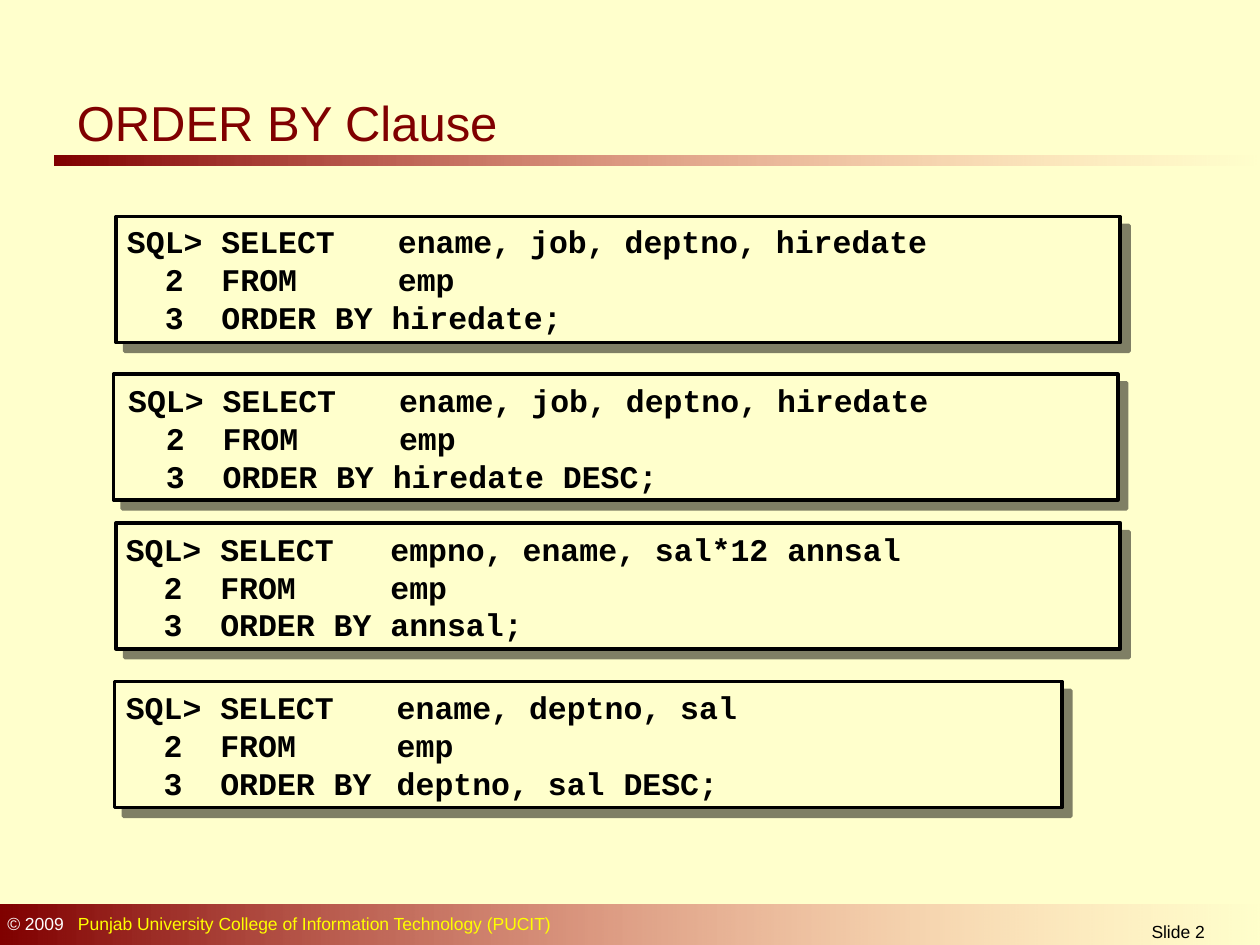
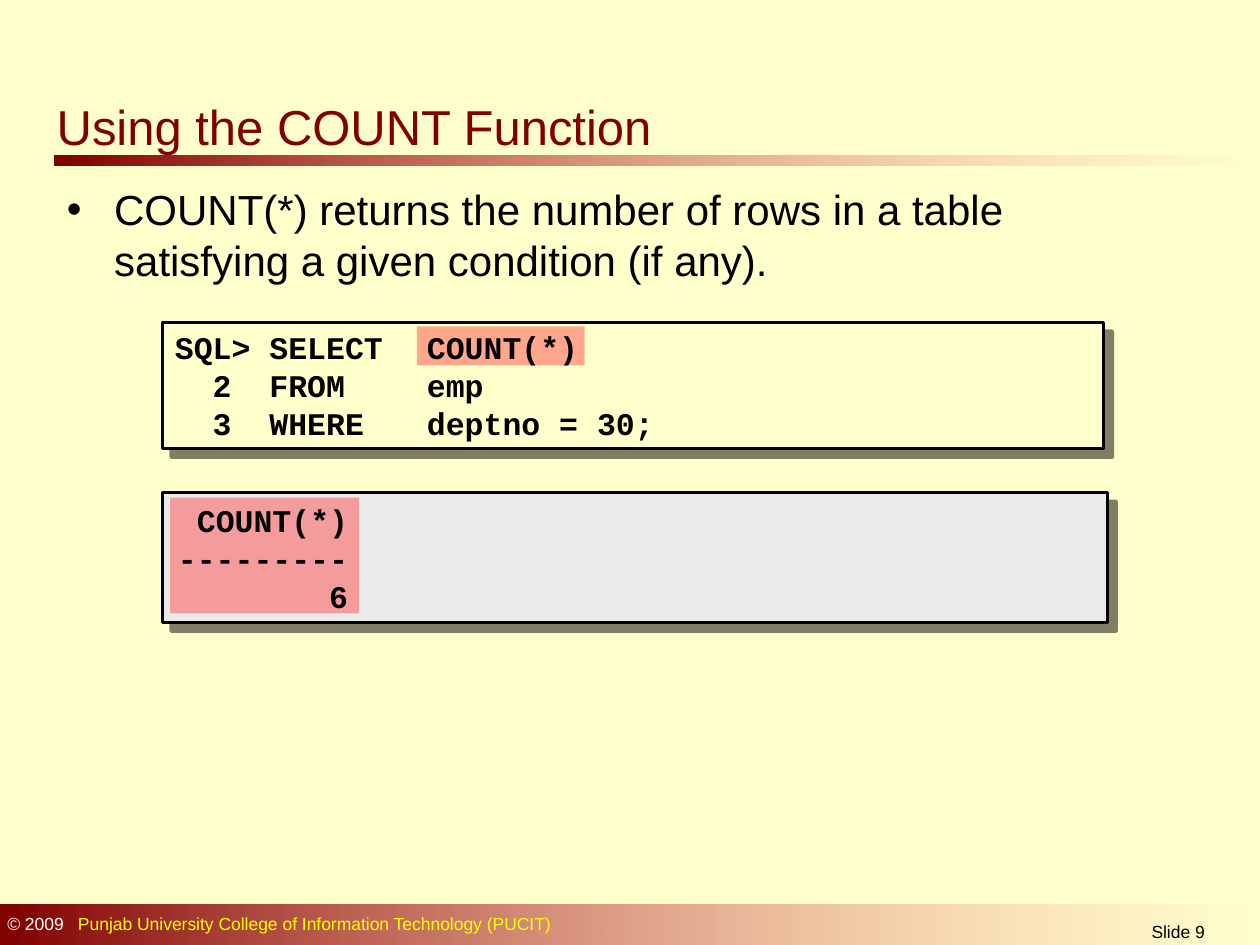
from typing import NamedTuple

from lxml import etree
from pptx import Presentation
from pptx.dml.color import RGBColor
from pptx.enum.shapes import MSO_SHAPE
from pptx.enum.text import MSO_ANCHOR, MSO_AUTO_SIZE, PP_ALIGN
from pptx.oxml.ns import qn
from pptx.util import Pt

RECTANGLE = MSO_SHAPE.RECTANGLE
TOP, MIDDLE = MSO_ANCHOR.TOP, MSO_ANCHOR.MIDDLE
LEFT, CENTER, RIGHT = PP_ALIGN.LEFT, PP_ALIGN.CENTER, PP_ALIGN.RIGHT
NO_AUTOFIT = MSO_AUTO_SIZE.NONE

CREAM = RGBColor(0xFF, 0xFF, 0xCC)
MAROON = RGBColor(0x80, 0x00, 0x00)
PINK = RGBColor(0xFF, 0x85, 0x85)
RED = RGBColor(0xFF, 0x50, 0x50)
GRAY = RGBColor(0xEA, 0xEA, 0xEA)
YELLOW = RGBColor(0xFF, 0xFF, 0x00)
WHITE = RGBColor(0xFF, 0xFF, 0xFF)
BLACK = RGBColor(0x00, 0x00, 0x00)

SANS, MONO = "Arial", "Courier New"
LINE_NUMBER_TAB, KEYWORD_TAB = 21.6, 54  # columns 2 and 5 of the SQL prompt
FOOTER_TAB = 40.4


class Area(NamedTuple):
    """Left, top, width and height in points."""
    left: float
    top: float
    width: float
    height: float

    def lengths(self) -> tuple:
        return tuple(Pt(value) for value in self)


class Query(NamedTuple):
    """A framed SQL statement; argument_tab is where the arguments line up."""
    frame: Area
    text: Area
    argument_tab: float
    lines: tuple


TITLE_RULE = Area(31, 88.6, 689, 6.2)
FOOTER_BAND = Area(0, 517, 722, 25)
FOOTER_TEXT = Area(-2.9, 518.4, 465, 19.4)
PAGE_NUMBER = Area(598.3, 522.7, 149.8, 17.3)

ORDER_QUERIES = (
    Query(Area(66.2, 123.8, 574, 72), Area(65.5, 122.4, 576, 74), 154.8,
          ("SQL>\tSELECT\tename, job, deptno, hiredate",
           "\t2\tFROM\temp",
           "\t3\tORDER BY hiredate;")),
    Query(Area(64.8, 213.8, 574, 72), Area(66.2, 213.1, 576, 74), 154.8,
          ("SQL>\tSELECT\tename, job, deptno, hiredate",
           "\t2\tFROM\temp",
           "\t3\tORDER BY hiredate DESC;")),
    Query(Area(66.2, 298.8, 574, 72), Area(64.8, 298.1, 576, 74), 151.2,
          ("SQL>\tSELECT\tempno, ename, sal*12 annsal",
           "\t2\tFROM\temp",
           "\t3\tORDER BY annsal;")),
    Query(Area(65.5, 389.5, 541.4, 72), Area(64.8, 388.8, 543.6, 74), 154.8,
          ("SQL>\tSELECT\tename, deptno, sal",
           "\t2\tFROM\temp",
           "\t3\tORDER BY\tdeptno, sal DESC;")),
)
COUNT_QUERY = Query(
    Area(92.9, 184.3, 537.8, 72), Area(92.9, 182.9, 540, 74), 144,
    ("SQL>\tSELECT\tCOUNT(*)", "\t2\tFROM\temp", "\t3\tWHERE\tdeptno = 30;"))
COUNT_HIGHLIGHT = Area(238.3, 186.5, 95.8, 22.3)
RESULT_FRAME = Area(92.9, 281.5, 540, 74.2)
RESULT_HIGHLIGHT = Area(97.2, 284.4, 108, 66.2)
RESULT_TEXT = Area(90, 283, 116, 72)
RESULT_LINES = ("COUNT(*)", "---------", "6")


# Helpers
def set_alpha(color_element, percent: int) -> None:
    etree.SubElement(color_element, qn("a:alpha")).set("val", str(percent * 1000))


def set_tabs(para, positions: tuple) -> None:
    tab_list = etree.SubElement(para._p.get_or_add_pPr(), qn("a:tabLst"))
    for position in positions:
        tab = etree.SubElement(tab_list, qn("a:tab"))
        tab.set("pos", str(Pt(position)))
        tab.set("algn", "l")


def style_span(span, name: str, size: float, color: RGBColor, bold: bool = False) -> None:
    span.font.name = name
    span.font.size = Pt(size)
    span.font.color.rgb = color
    span.font.bold = bold


def place(shape, area: Area) -> None:
    shape.left, shape.top, shape.width, shape.height = area.lengths()


def add_rectangle(slide, area: Area):
    box = slide.shapes.add_shape(RECTANGLE, *area.lengths())
    box.shadow.inherit = False
    box.line.fill.background()
    return box


def add_text(slide, area: Area, anchor=TOP):
    box = slide.shapes.add_textbox(*area.lengths())
    box.text_frame.word_wrap = True
    box.text_frame.vertical_anchor = anchor
    return box.text_frame


# Shared page parts
def add_fading_band(slide, area: Area) -> None:
    band = add_rectangle(slide, area)
    band.fill.gradient()
    band.fill.gradient_angle = 0
    start, end = band.fill.gradient_stops
    start.color.rgb, end.color.rgb = MAROON, PINK
    set_alpha(band._element.spPr.findall(".//" + qn("a:srgbClr"))[-1], 0)


def add_footer(slide, number: int) -> None:
    add_fading_band(slide, FOOTER_BAND)
    para = add_text(slide, FOOTER_TEXT).paragraphs[0]
    set_tabs(para, (FOOTER_TAB,))
    for words, color in (
            ("© 2009", WHITE),
            ("\tPunjab University College of Information Technology (PUCIT)", YELLOW)):
        span = para.add_run()
        span.text = words
        style_span(span, SANS, 10, color)
    para = add_text(slide, PAGE_NUMBER).paragraphs[0]
    para.text = f"Slide {number}"
    para.alignment = CENTER
    style_span(para.runs[0], SANS, 10, BLACK)


def fill_placeholder(holder, area: Area, words: str, size: float, color: RGBColor):
    place(holder, area)
    frame = holder.text_frame
    frame.text = words
    frame.word_wrap = True
    frame.auto_size = NO_AUTOFIT
    frame.vertical_anchor = TOP
    para = frame.paragraphs[0]
    para.alignment = LEFT
    style_span(para.runs[0], SANS, size, color)
    return para


def add_page(deck, layout_index: int, number: int, title: str, title_area: Area):
    slide = deck.slides.add_slide(deck.slide_layouts[layout_index])
    add_fading_band(slide, TITLE_RULE)
    add_footer(slide, number)
    fill_placeholder(slide.shapes.title, title_area, title, 28, MAROON)
    return slide


# Code panels
def add_frame(slide, area: Area, color: RGBColor) -> None:
    box = add_rectangle(slide, area)
    box.fill.solid()
    box.fill.fore_color.rgb = color
    box.line.color.rgb = BLACK
    box.line.width = Pt(2)
    effects = box._element.spPr.find(qn("a:effectLst"))
    shadow = etree.SubElement(effects, qn("a:outerShdw"))
    shadow.set("dist", str(Pt(7.1)))
    shadow.set("dir", str(45 * 60000))
    shadow.set("algn", "ctr")
    shadow.set("rotWithShape", "0")
    shadow_color = etree.SubElement(shadow, qn("a:srgbClr"))
    shadow_color.set("val", str(BLACK))
    set_alpha(shadow_color, 50)


def add_highlight(slide, area: Area) -> None:
    box = add_rectangle(slide, area)
    box.fill.solid()
    box.fill.fore_color.rgb = RED
    set_alpha(box._element.spPr.find(".//" + qn("a:srgbClr")), 50)


def add_code(slide, area: Area, lines: tuple, tabs: tuple = (),
             anchor=MIDDLE, alignment=LEFT) -> None:
    frame = add_text(slide, area, anchor)
    frame.text = "\n".join(lines)
    for para in frame.paragraphs:
        para.alignment = alignment
        if tabs:
            set_tabs(para, tabs)
        style_span(para.runs[0], MONO, 18, BLACK, bold=True)


def add_query_text(slide, query: Query) -> None:
    tabs = (LINE_NUMBER_TAB, KEYWORD_TAB, query.argument_tab)
    add_code(slide, query.text, query.lines, tabs)


# Slides
def build_order_by(deck) -> None:
    slide = add_page(deck, 5, 2, "ORDER BY Clause", Area(36.7, 49, 265, 34.6))
    for query in ORDER_QUERIES:
        add_frame(slide, query.frame, CREAM)
        add_query_text(slide, query)


def build_count(deck) -> None:
    slide = add_page(deck, 1, 9, "Using the COUNT Function", Area(25.2, 51.8, 382.3, 36.7))
    para = fill_placeholder(
        slide.placeholders[1], Area(31, 101.5, 602, 64.8),
        "COUNT(*) returns the number of rows in a table satisfying "
        "a given condition (if any).", 24, BLACK)
    properties = para._p.get_or_add_pPr()
    properties.set("marL", str(Pt(27)))
    properties.set("indent", str(Pt(-27)))

    add_frame(slide, COUNT_QUERY.frame, CREAM)
    add_frame(slide, RESULT_FRAME, GRAY)
    add_highlight(slide, COUNT_HIGHLIGHT)
    add_highlight(slide, RESULT_HIGHLIGHT)
    add_code(slide, RESULT_TEXT, RESULT_LINES, anchor=TOP, alignment=RIGHT)
    add_query_text(slide, COUNT_QUERY)


def main() -> None:
    deck = Presentation()
    deck.slide_width, deck.slide_height = Pt(720), Pt(540)
    background = deck.slide_master.background.fill
    background.solid()
    background.fore_color.rgb = CREAM
    build_order_by(deck)
    build_count(deck)
    deck.save("out.pptx")


if __name__ == "__main__":
    main()
